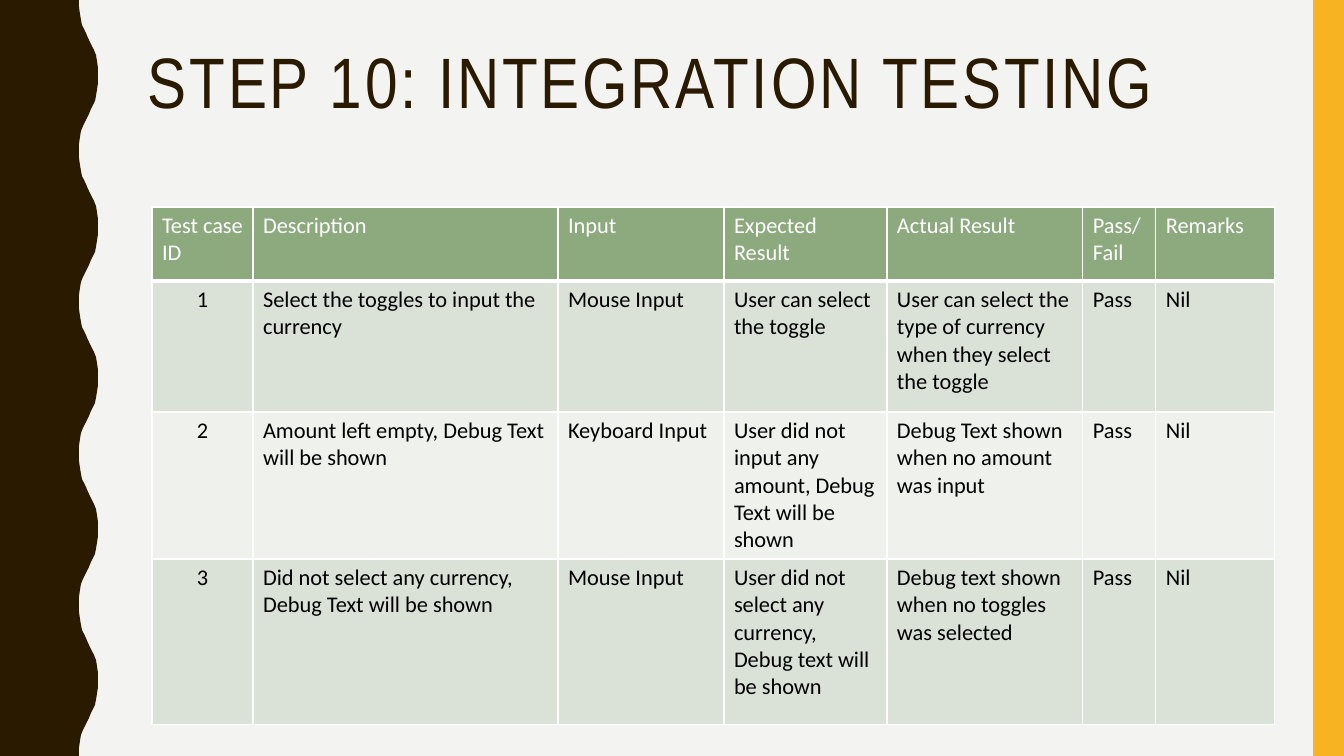
from dataclasses import dataclass

from lxml.etree import SubElement
from pptx import Presentation
from pptx.dml.color import RGBColor
from pptx.enum.shapes import MSO_SHAPE
from pptx.enum.text import MSO_ANCHOR, PP_ALIGN
from pptx.oxml.ns import qn
from pptx.util import Pt

PX = 914400 / 100.8
SLIDE_W, SLIDE_H = 1344, 756
HALF_WAVE = [(0, 0), (0, 7), (1, 14), (2, 20), (3, 25), (5, 29), (7, 33), (9, 38),
             (11, 42), (13, 46), (15, 50), (17, 55), (18, 61), (19, 68), (19, 76)]
COLUMNS = [101, 305, 166, 163, 196, 73, 119]
ROWS = [74, 131, 147, 166]
TEST_CASES = [
    ["Test case ID", "Description", "Input", "Expected Result", "Actual\u00a0Result",
     "Pass/Fail", "Remarks"],
    ["1", "Select the toggles to input the currency", "Mouse Input",
     "User can select the toggle",
     "User can select the type of currency when they select the toggle", "Pass", "Nil"],
    ["2", "Amount left empty, Debug Text will be shown", "Keyboard Input",
     "User did not input any amount, Debug Text will be shown",
     "Debug Text shown when no amount was input", "Pass", "Nil"],
    ["3", "Did not select any currency, Debug Text will be shown", "Mouse Input",
     "User did not select any currency, Debug text will be shown",
     "Debug text shown when no toggles was selected", "Pass", "Nil"],
]


@dataclass(frozen=True)
class Theme:
    """Colours, fonts and type sizes of the slide."""
    paper: str = "F3F3F2"
    dark: str = "2A1A00"
    accent: str = "F8B323"
    header: str = "8CAA7E"
    bands: tuple = ("DAE2D8", "EEF1EC")
    white: str = "FFFFFF"
    black: str = "000000"
    title_font: str = "Arial Narrow"
    body_font: str = "Calibri"
    title_size: int = 51
    body_size: int = 16
    title_spacing: int = 2


THEME = Theme()


def px(n):
    """Turn px into EMU."""
    return round(n * PX)


def paint(fill, color):
    """Give a fill one solid colour."""
    fill.solid()
    fill.fore_color.rgb = RGBColor.from_string(color)


def finish(shape, color):
    """Make a shape flat: one colour, no line, no shadow."""
    paint(shape.fill, color)
    shape.line.fill.background()
    shape.shadow.inherit = False


def write(p, text, color, **formats):
    """Add a run to a paragraph and format its font."""
    r = p.add_run()
    r.text = text
    r.font.color.rgb = RGBColor.from_string(color)
    for name, value in formats.items():
        setattr(r.font, name, value)
    return r


def add_wave(s, x, y, w, h):
    """Draw the dark left band with a wavy right edge."""
    count = 10
    depth = HALF_WAVE[-1][0]
    edge = []
    for i in range(count):
        top = y + round(i * h / count)
        for dx, dy in HALF_WAVE:
            swing = dx if i % 2 == 0 else depth - dx
            edge.append((x + w - depth + swing, min(top + dy, y + h)))
    builder = s.shapes.build_freeform(x, y, scale=PX)
    builder.add_line_segments(edge + [(x, y + h)], close=True)
    finish(builder.convert_to_shape(), THEME.dark)


def add_stripe(s, x, y, w, h):
    """Draw the accent stripe."""
    stripe = s.shapes.add_shape(MSO_SHAPE.RECTANGLE, px(x), px(y), px(w), px(h))
    finish(stripe, THEME.accent)


def add_title(s, text, x, y, w, h):
    """Place the slide title at the top of its box."""
    tf = s.shapes.add_textbox(px(x), px(y), px(w), px(h)).text_frame
    tf.word_wrap = True
    tf.vertical_anchor = MSO_ANCHOR.TOP
    p = tf.paragraphs[0]
    p.line_spacing = 0.9
    r = write(p, text, THEME.dark, name=THEME.title_font, size=Pt(THEME.title_size))
    r.font._element.set("spc", str(THEME.title_spacing * 100))


def set_borders(cell, widths):
    """Set white cell borders from a dict of side and points."""
    tcPr = cell._tc.get_or_add_tcPr()
    for i, (side, width) in enumerate(widths.items()):
        ln = tcPr.makeelement(qn(f"a:ln{side}"), {"w": str(Pt(width))})
        fill = SubElement(ln, qn("a:solidFill"))
        SubElement(fill, qn("a:srgbClr")).set("val", THEME.white)
        tcPr.insert(i, ln)


def add_test_table(s, x, y, w, h):
    """Place the table of test cases."""
    table = s.shapes.add_table(len(ROWS), len(COLUMNS), px(x), px(y), px(w), px(h)).table
    table.horz_banding = False
    for column, width in zip(table.columns, COLUMNS):
        column.width = px(width)
    for i, (row, height, texts) in enumerate(zip(table.rows, ROWS, TEST_CASES)):
        row.height = px(height)
        is_header = i == 0
        for j, (cell, text) in enumerate(zip(row.cells, texts)):
            paint(cell.fill, THEME.header if is_header else THEME.bands[(i - 1) % 2])
            set_borders(cell, {"L": 1, "R": 1, "T": 3 if i == 1 else 1,
                               "B": 3 if is_header else 1})
            p = cell.text_frame.paragraphs[0]
            p.alignment = PP_ALIGN.CENTER if j == 0 and not is_header else PP_ALIGN.LEFT
            write(p, text, THEME.white if is_header else THEME.black,
                  name=THEME.body_font, size=Pt(THEME.body_size), bold=False)


def add_testing_slide(prs):
    """Build the integration testing slide."""
    s = prs.slides.add_slide(prs.slide_layouts[6])
    paint(s.background.fill, THEME.paper)
    add_wave(s, 0, 0, 98, SLIDE_H)
    add_stripe(s, SLIDE_W - 31, 0, 31, SLIDE_H)
    add_title(s, "STEP 10: INTEGRATION TESTING", 138, 42, 1122, 164)
    add_test_table(s, 152, 207, sum(COLUMNS), sum(ROWS))


def main():
    """Create and save the presentation."""
    prs = Presentation()
    prs.slide_width, prs.slide_height = px(SLIDE_W), px(SLIDE_H)
    add_testing_slide(prs)
    prs.save("out.pptx")


if __name__ == "__main__":
    main()
